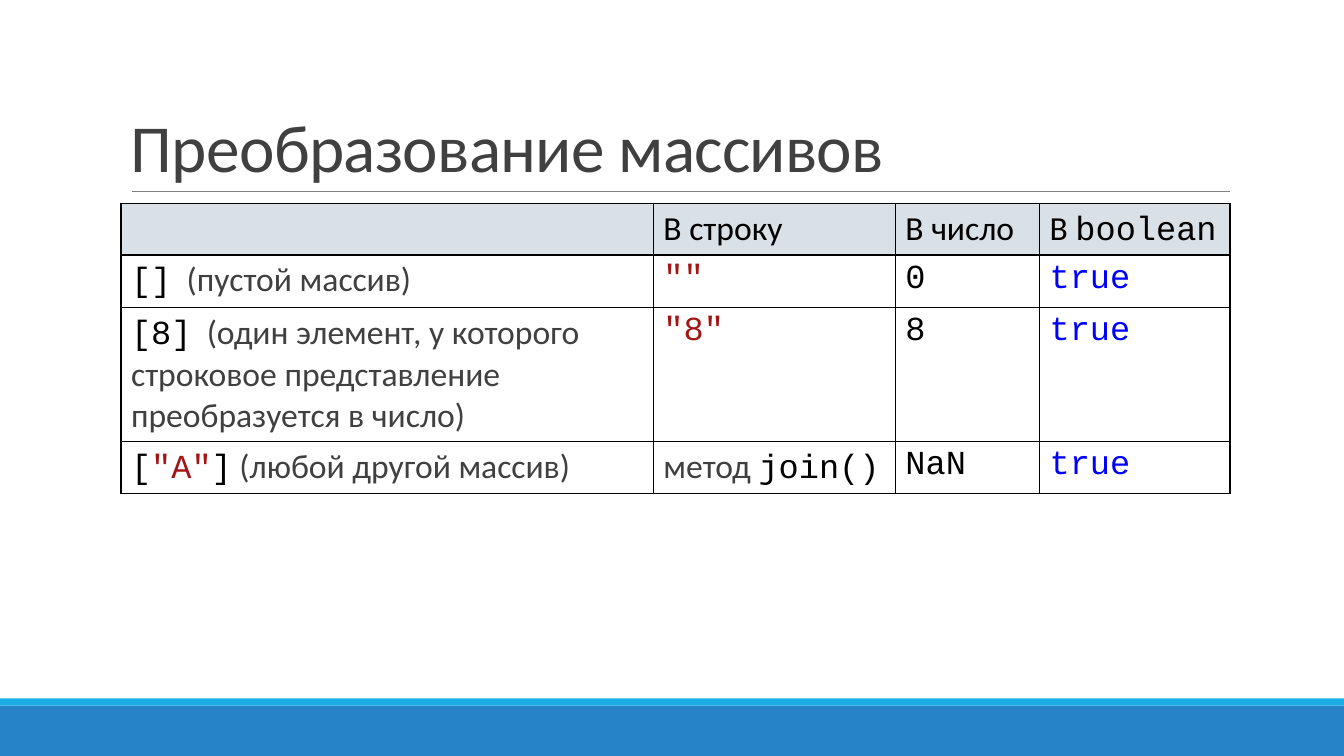
import pptx
import pptx.util
import pptx.dml.color
import pptx.enum.shapes
import pptx.enum.text
import pptx.oxml
import pptx.oxml.ns
import lxml.etree

Inches = pptx.util.Inches
WIDTH, HEIGHT = 13.33, 7.5
SANS, MONO = "Calibri", "Courier New"
BLACK, GREY, RED, BLUE = "000000", "404040", "A31515", "0000FF"
COLUMNS = [5.28, 2.4, 1.43, 1.89]
ROWS = [0.51, 0.52, 1.33, 0.52]
TRUE = [("true", MONO, BLUE)]
CELLS = [
    [[], [("В строку", SANS, BLACK)], [("В число", SANS, BLACK)],
     [("В ", SANS, BLACK), ("boolean", MONO, BLACK)]],
    [[("[]", MONO, BLACK), ("  (пустой массив)", SANS, GREY)],
     [('""', MONO, RED)], [("0", MONO, BLACK)], TRUE],
    [[("[8]", MONO, BLACK),
      ("  (один элемент, у которого строковое представление преобразуется в число)", SANS, GREY)],
     [('"8"', MONO, RED)], [("8", MONO, BLACK)], TRUE],
    [[("[", MONO, BLACK), ('"A"', MONO, RED), ("]", MONO, BLACK),
      (" (любой другой массив)", SANS, GREY)],
     [("метод ", SANS, GREY), ("join()", MONO, BLACK)], [("NaN", MONO, BLACK)], TRUE],
]


def paint(target, color):
    """Give a fill or a line fill one solid colour."""
    target.solid()
    target.fore_color.rgb = pptx.dml.color.RGBColor.from_string(color)


def write(para, text, font=SANS, size=24, color=BLACK, spacing=None):
    """Append a formatted span of text to a paragraph."""
    span = para.add_run()
    span.text = text
    span.font.name = font
    span.font.size = pptx.util.Pt(size)
    paint(span.font.fill, color)
    if spacing is not None:
        span.font._element.set("spc", str(int(spacing * 100)))


def add_band(page, left, top, width, height, color):
    """Draw a plain coloured band."""
    band = page.shapes.add_shape(pptx.enum.shapes.MSO_SHAPE.RECTANGLE,
                                 *map(Inches, (left, top, width, height)))
    band.shadow.inherit = False
    band.line.fill.background()
    paint(band.fill, color)


def add_footer(page, left, top, width, height):
    """Stack the thin light band on the dark one."""
    thin = 0.07
    add_band(page, left, top + thin, width, height - thin, "2683C6")
    add_band(page, left, top, width, thin, "1CADE4")


def add_title(page, left, top, width, height):
    """Place the heading at the bottom of its box, with a rule below."""
    box = page.shapes.add_textbox(*map(Inches, (left, top, width, height)))
    box.text_frame.word_wrap = True
    box.text_frame.vertical_anchor = pptx.enum.text.MSO_ANCHOR.BOTTOM
    para = box.text_frame.paragraphs[0]
    para.line_spacing = 0.85
    write(para, "Преобразование массивов", size=48, color=GREY, spacing=-0.5)
    base = top + height
    rule = page.shapes.add_connector(pptx.enum.shapes.MSO_CONNECTOR.STRAIGHT,
                                     *map(Inches, (left + 0.11, base, left + width, base)))
    paint(rule.line.fill, "808080")
    rule.line.width = pptx.util.Pt(0.5)
    lxml.etree.SubElement(rule._element.spPr, pptx.oxml.ns.qn("a:effectLst"))


def add_borders(cell):
    """Outline a cell with thin black lines."""
    properties = cell._tc.get_or_add_tcPr()
    for place, side in enumerate(("lnL", "lnR", "lnT", "lnB")):
        properties.insert(place, pptx.oxml.parse_xml(
            f'<a:{side} {pptx.oxml.ns.nsdecls("a")} w="12700"><a:solidFill>'
            f'<a:srgbClr val="{BLACK}"/></a:solidFill></a:{side}>'))


def add_conversions(page, left, top):
    """Place the table of array conversions."""
    frame = page.shapes.add_table(len(ROWS), len(COLUMNS), Inches(left), Inches(top),
                                  Inches(sum(COLUMNS)), Inches(sum(ROWS)))
    table = frame.table
    table.horz_banding = False
    for column, width in zip(table.columns, COLUMNS):
        column.width = Inches(width)
    for index, (row, height, contents) in enumerate(zip(table.rows, ROWS, CELLS)):
        row.height = Inches(height)
        for cell, spans in zip(row.cells, contents):
            paint(cell.fill, "FFFFFF" if index else "D9E0E6")
            add_borders(cell)
            for text, font, color in spans:
                write(cell.text_frame.paragraphs[0], text, font=font, color=color)


def main():
    """Build and save the deck."""
    deck = pptx.Presentation()
    deck.slide_width, deck.slide_height = Inches(WIDTH), Inches(HEIGHT)
    page = deck.slides.add_slide(deck.slide_layouts[6])
    add_footer(page, 0, 6.93, WIDTH, HEIGHT - 6.93)
    add_title(page, 1.2, 0.31, 11, 1.59)
    add_conversions(page, 1.2, 2.02)
    deck.save("out.pptx")


if __name__ == "__main__":
    main()
